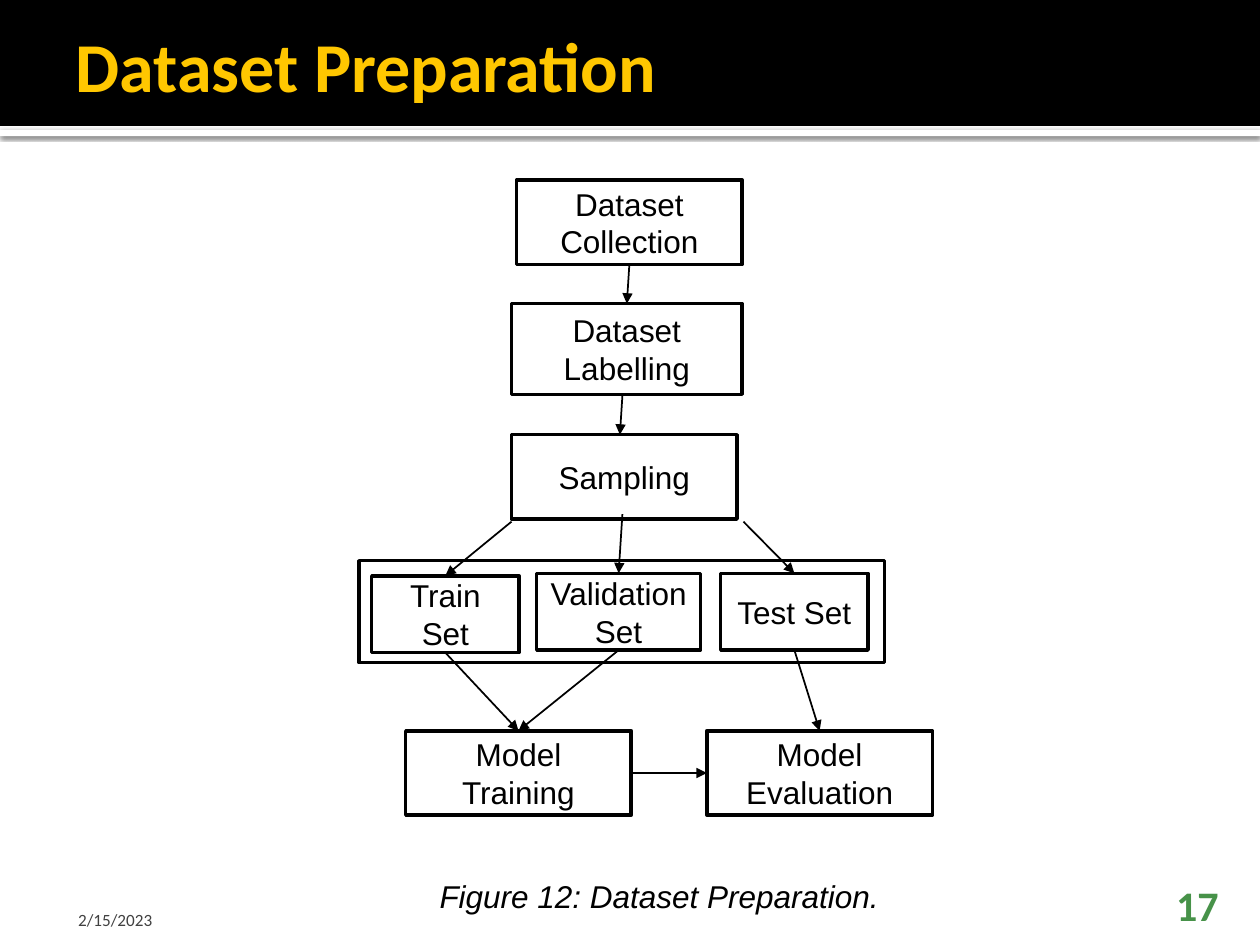
"""Build the Dataset Preparation flowchart slide."""
import pptx
import pptx.dml.color
import pptx.enum.shapes
import pptx.enum.text
import pptx.oxml
import pptx.oxml.ns
import pptx.util

Inches, Pt = pptx.util.Inches, pptx.util.Pt
RGB = pptx.dml.color.RGBColor.from_string
ANCHOR, ALIGN = pptx.enum.text.MSO_ANCHOR, pptx.enum.text.PP_ALIGN
RECTANGLE = pptx.enum.shapes.MSO_SHAPE.RECTANGLE
COLORS = {"ink": "000000", "paper": "FFFFFF", "title": "FFC700",
          "date": "414141", "number": "479249"}
TOP, LEFT, BOTTOM, RIGHT = range(4)


def write(shape, text, size, font, color, anchor, align, insets=(0.1, 0.05, 0.1, 0.05),
          bold=False, italic=False):
    frame = shape.text_frame
    frame.text = text
    frame.word_wrap = True
    frame.auto_size = pptx.enum.text.MSO_AUTO_SIZE.NONE
    frame.vertical_anchor = anchor
    frame.margin_left, frame.margin_top, frame.margin_right, frame.margin_bottom = map(Inches, insets)
    paragraph = frame.paragraphs[0]
    paragraph.alignment = align
    style = paragraph.runs[0].font
    style.size, style.name, style.bold, style.italic = Pt(size), font, bold, italic
    style.color.rgb = RGB(COLORS[color])


def add_rectangle(bounds, fill=None, line=None):
    shape = slide.shapes.add_shape(RECTANGLE, *map(Inches, bounds))
    shape.shadow.inherit = False
    if fill:
        shape.fill.solid()
        shape.fill.fore_color.rgb = RGB(COLORS[fill])
    else:
        shape.fill.background()
    if line:
        shape.line.color.rgb = RGB(COLORS[line])
        shape.line.width = Pt(2)
    else:
        shape.line.fill.background()
    return shape


deck = pptx.Presentation()
deck.slide_width, deck.slide_height = Inches(10), Inches(7.5)
slide = deck.slides.add_slide(deck.slide_layouts[5])
slide.background.fill.solid()
slide.background.fill.fore_color.rgb = RGB(COLORS["paper"])

header_rule = add_rectangle((0, 1.03, 10, 0.05), fill="paper")
effects = header_rule._element.spPr.find(pptx.oxml.ns.qn("a:effectLst"))
effects.append(pptx.oxml.parse_xml(
    f'<a:outerShdw {pptx.oxml.ns.nsdecls("a")} blurRad="{Pt(2.5)}" dist="{Pt(0.8)}" dir="5400000" '
    f'rotWithShape="0"><a:srgbClr val="{COLORS["ink"]}"><a:alpha val="60000"/></a:srgbClr></a:outerShdw>'))
add_rectangle((0, 0, 10, 1), fill="ink")

title = slide.shapes.title
title.left, title.top, title.width, title.height = map(Inches, (0.5, 0.08, 9, 0.87))
write(title, "Dataset Preparation", 40, "Calibri", "title", ANCHOR.MIDDLE, ALIGN.LEFT,
      (0.1, 0.05, 0.05, 0.05), bold=True)
slide.shapes._spTree.append(title._element)

date = slide.shapes.add_textbox(*map(Inches, (0.5, 7.08, 2.33, 0.3)))
write(date, "2/15/2023", 9.8, "Calibri", "date", ANCHOR.BOTTOM, ALIGN.LEFT, (0.12, 0.05, 0.05, 0))
page_number = slide.shapes.add_textbox(*map(Inches, (8.97, 7.08, 0.8, 0.3)))
write(page_number, "17", 24, "Calibri", "number", ANCHOR.BOTTOM, ALIGN.RIGHT, (0.1, 0.05, 0.1, 0), bold=True)
caption = slide.shapes.add_textbox(*map(Inches, (3.39, 6.91, 3.83, 0.4)))
write(caption, "Figure 12: Dataset Preparation.", 18, "Arial", "ink", ANCHOR.TOP, ALIGN.LEFT, italic=True)

add_rectangle((2.85, 4.45, 4.17, 0.81), line="ink")
steps = {}
for label, bounds in {
    "Dataset Collection": (4.1, 1.43, 1.79, 0.67),
    "Dataset Labelling": (4.06, 2.41, 1.83, 0.72),
    "Sampling": (4.06, 3.45, 1.79, 0.67),
    "Train Set": (2.95, 4.57, 1.17, 0.61),
    "Validation Set": (4.26, 4.55, 1.3, 0.61),
    "Test Set": (5.72, 4.55, 1.17, 0.61),
    "Model Training": (3.22, 5.8, 1.79, 0.67),
    "Model Evaluation": (5.61, 5.8, 1.79, 0.67),
}.items():
    steps[label] = add_rectangle(bounds, line="ink")
    write(steps[label], label, 18, "Arial", "ink", ANCHOR.MIDDLE, ALIGN.CENTER)

for start, end, source, target in [
    ((5, 2.1), (4.98, 2.41), ("Dataset Collection", BOTTOM), ("Dataset Labelling", TOP)),
    ((4.94, 3.14), (4.92, 3.45), None, None),
    ((4.94, 4.08), (4.91, 4.55), None, ("Validation Set", TOP)),
    ((4.06, 4.14), (3.53, 4.57), None, ("Train Set", TOP)),
    ((5.9, 4.14), (6.31, 4.55), None, ("Test Set", TOP)),
    ((3.55, 5.16), (4.11, 5.8), ("Train Set", BOTTOM), ("Model Training", TOP)),
    ((4.91, 5.16), (4.11, 5.8), ("Validation Set", BOTTOM), ("Model Training", TOP)),
    ((5.01, 6.13), (5.61, 6.13), ("Model Training", RIGHT), ("Model Evaluation", LEFT)),
    ((6.31, 5.16), (6.51, 5.8), ("Test Set", BOTTOM), ("Model Evaluation", TOP)),
]:
    arrow = slide.shapes.add_connector(pptx.enum.shapes.MSO_CONNECTOR.STRAIGHT, *map(Inches, start + end))
    if source:
        arrow.begin_connect(steps[source[0]], source[1])
    if target:
        arrow.end_connect(steps[target[0]], target[1])
    arrow.line.color.rgb = RGB(COLORS["ink"])
    arrow.line.width = Pt(1)
    arrow.line._ln.append(pptx.oxml.parse_xml(f'<a:tailEnd {pptx.oxml.ns.nsdecls("a")} type="triangle"/>'))
    arrow._element.spPr.append(pptx.oxml.parse_xml(f'<a:effectLst {pptx.oxml.ns.nsdecls("a")}/>'))

deck.save("out.pptx")
